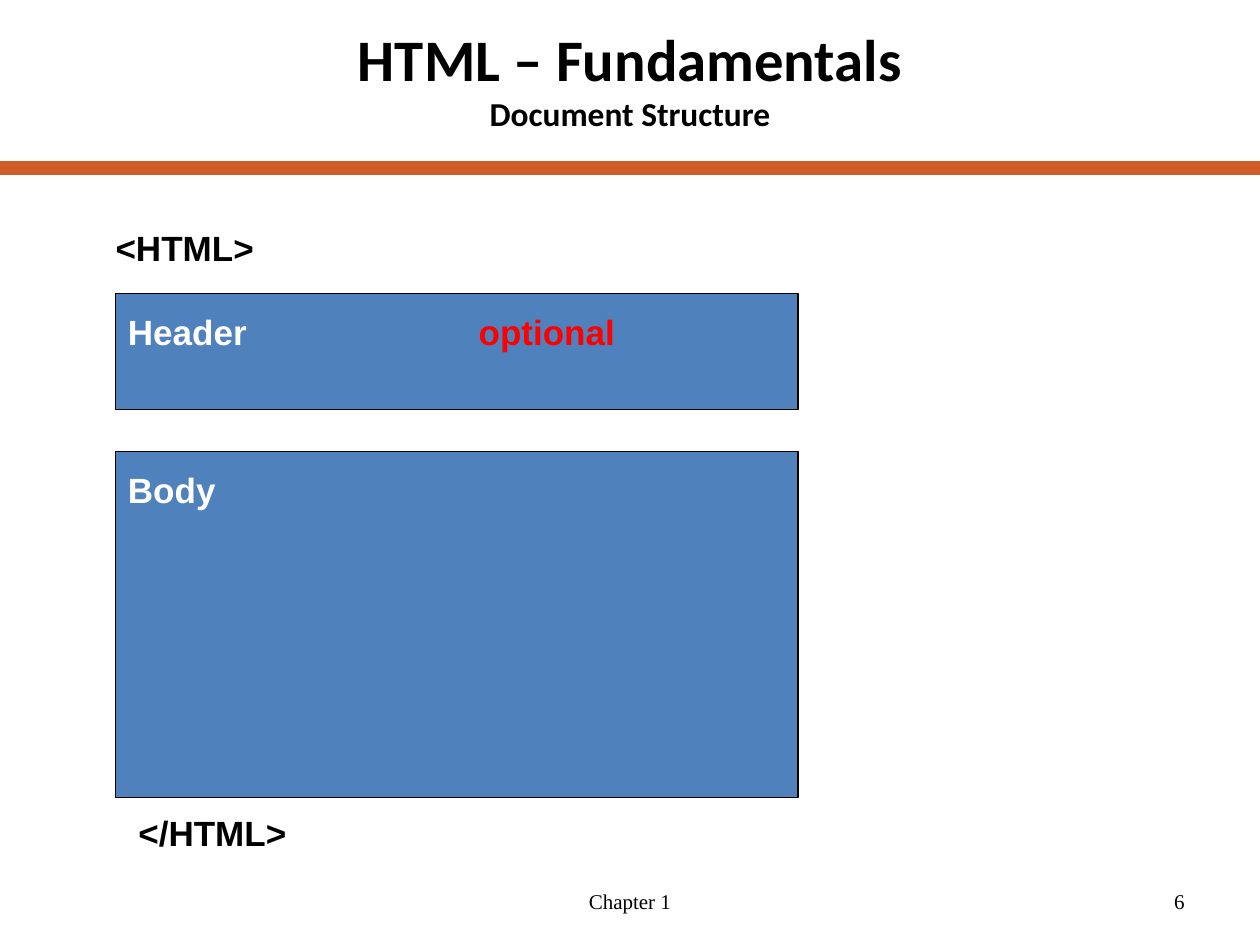
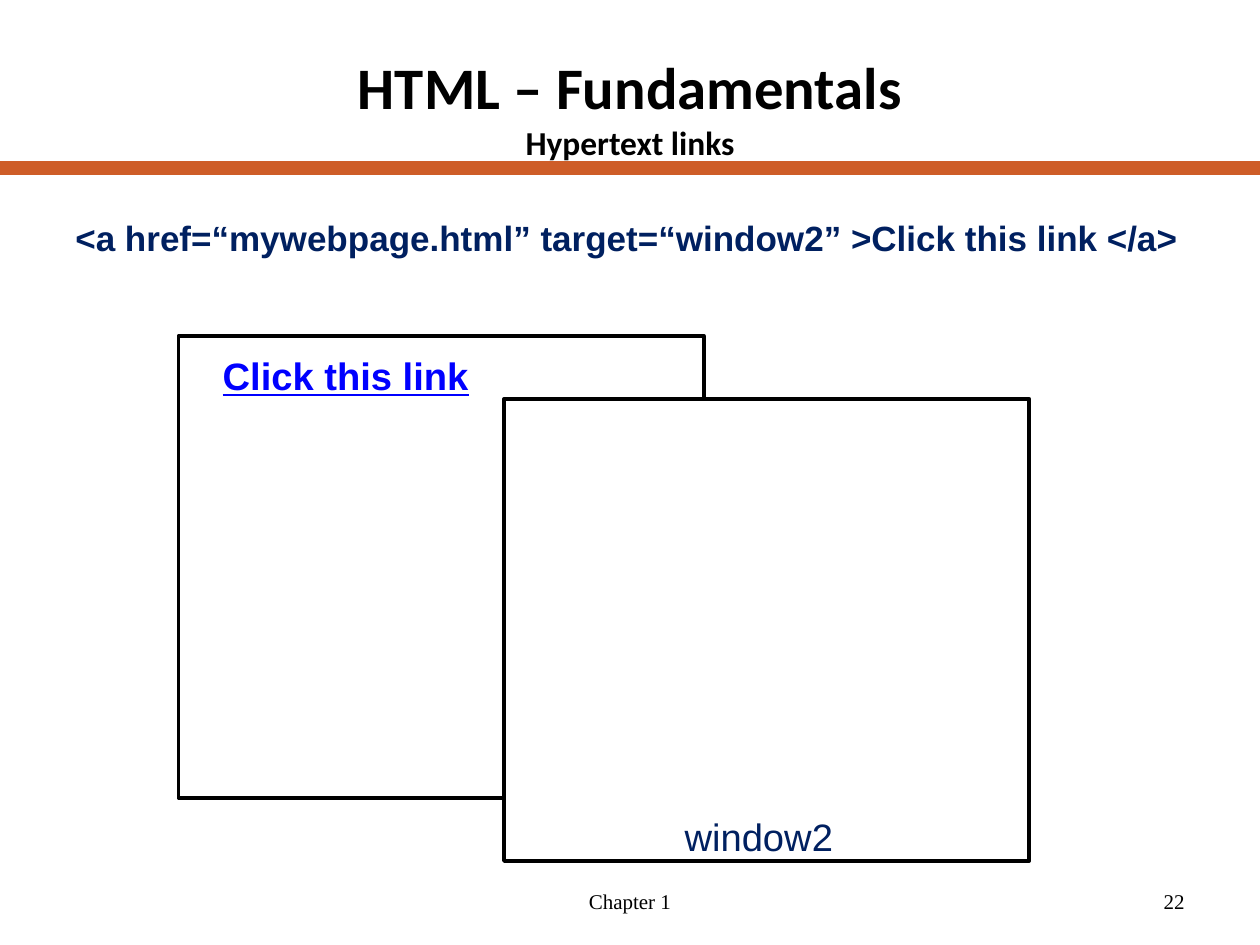
from copy import deepcopy

from lxml import etree
from pptx import Presentation
from pptx.dml.color import RGBColor
from pptx.enum import shapes, text
from pptx.oxml import ns
from pptx.util import Cm, Pt

BLACK, WHITE, RED = "000000", "FFFFFF", "FF0000"
ORANGE, BLUE, NAVY, LINK = "CE5D28", "4F81BD", "002060", "0000FF"
TITLE_ONLY = 5
SLIDE_W, SLIDE_H = 25.4, 19.05
BAND_Y = 3.38


def paint(fmt, hex_color):
    if hasattr(fmt, "solid"):
        fmt.solid()
        fmt = fmt.fore_color
    elif hasattr(fmt, "color"):
        fmt = fmt.color
    fmt.rgb = RGBColor.from_string(hex_color)


def set_font(font, name, size, color, bold=False):
    font.name, font.size, font.bold = name, Pt(size), bold
    paint(font, color)


def add_band(s):
    band = s.shapes.add_connector(
        shapes.MSO_CONNECTOR.STRAIGHT, 0, Cm(BAND_Y), Cm(SLIDE_W), Cm(BAND_Y))
    paint(band.line, ORANGE)
    band.line.width = Pt(8)
    etree.SubElement(band.element.spPr, ns.qn("a:effectLst"))
    s.shapes.element.insert(2, band.element)


def set_title(s, subtitle, top):
    sp = s.shapes.title
    sp.left, sp.top, sp.width, sp.height = Cm(1.27), Cm(top), Cm(22.86), Cm(2.75)
    tf = sp.text_frame
    tf.text = "HTML – Fundamentals\v" + subtitle
    tf.auto_size = text.MSO_AUTO_SIZE.NONE
    tf.vertical_anchor = text.MSO_ANCHOR.MIDDLE
    p = tf.paragraphs[0]
    p.alignment = text.PP_ALIGN.CENTER
    for r, size in zip(p.runs, (33.6, 19.1)):
        set_font(r.font, "Calibri", size, BLACK, True)
    main_run = p.runs[0]._r
    main_run.getnext().insert(0, deepcopy(main_run.rPr))


def add_text(s, content, left, top, width, height):
    tf = s.shapes.add_textbox(Cm(left), Cm(top), Cm(width), Cm(height)).text_frame
    tf.word_wrap = True
    p = tf.paragraphs[0]
    p.text = content
    return tf, p


def add_label(s, content, left, top, width, color, size=20, bold=True):
    p = add_text(s, content, left, top, width, 1.12)[1]
    set_font(p.font, "Arial", size, color, bold)
    return p


def add_tabbed_label(s, first, second, left, top, width, tab, colors):
    p = add_text(s, first + "\t", left, top, width, 1.12)[1]
    p.add_run().text = second
    tabs = etree.SubElement(p._p.get_or_add_pPr(), ns.qn("a:tabLst"))
    etree.SubElement(tabs, ns.qn("a:tab"), pos=str(Cm(tab)), algn="l")
    for r, color in zip(p.runs, colors):
        set_font(r.font, "Arial", 20, color, True)


def add_box(s, left, top, width, height, fill, line_width):
    sp = s.shapes.add_shape(
        shapes.MSO_SHAPE.RECTANGLE, Cm(left), Cm(top), Cm(width), Cm(height))
    sp.shadow.inherit = False
    paint(sp.fill, fill)
    paint(sp.line, BLACK)
    sp.line.width = Pt(line_width)


def add_footer(s, number):
    for content, left, width, align in (
            (number, 18.2, 5.93, text.PP_ALIGN.RIGHT),
            ("Chapter 1", 8.68, 8.04, text.PP_ALIGN.CENTER)):
        tf, p = add_text(s, content, left, 17.65, width, 1.02)
        tf.vertical_anchor = text.MSO_ANCHOR.MIDDLE
        p.alignment = align
        set_font(p.font, "Times New Roman", 12, BLACK)


def new_slide(prs, subtitle, title_top, number):
    s = prs.slides.add_slide(prs.slide_layouts[TITLE_ONLY])
    add_band(s)
    set_title(s, subtitle, title_top)
    add_footer(s, number)
    return s


def document_structure(prs):
    s = new_slide(prs, "Document Structure", 0.2, "6")
    left, width = 2.33, 13.76
    for top, height in ((5.92, 2.33), (9.1, 6.98)):
        add_box(s, left, top, width, height, BLUE, 0.75)
    add_tabbed_label(s, "Header", "optional", left, 6.14, 13.46, 7.07, (WHITE, RED))
    add_label(s, "Body", left, 9.32, 4.65, WHITE)
    add_label(s, "</HTML>", 2.54, 16.23, 4.55, BLACK)
    add_label(s, "<HTML>", 2.08, 4.45, 4.55, BLACK)


def hypertext_links(prs):
    s = new_slide(prs, "Hypertext links", 0.77, "22")
    for left, top in ((3.6, 6.77), (10.16, 8.04)):
        add_box(s, left, top, 10.59, 9.32, WHITE, 2)
    p = add_label(s, "Click this link", 4.24, 6.98, 5.92, LINK, 21.8)
    p.font.underline = True
    add_label(s, "<a href=“mywebpage.html” target=“window2” >Click this link </a>",
              1.27, 4.24, 23.29, NAVY)
    add_label(s, "window2", 13.55, 16.28, 3.81, NAVY, 21.8, False)


def main():
    prs = Presentation()
    prs.slide_width, prs.slide_height = Cm(SLIDE_W), Cm(SLIDE_H)
    document_structure(prs)
    hypertext_links(prs)
    prs.save("out.pptx")


if __name__ == "__main__":
    main()
